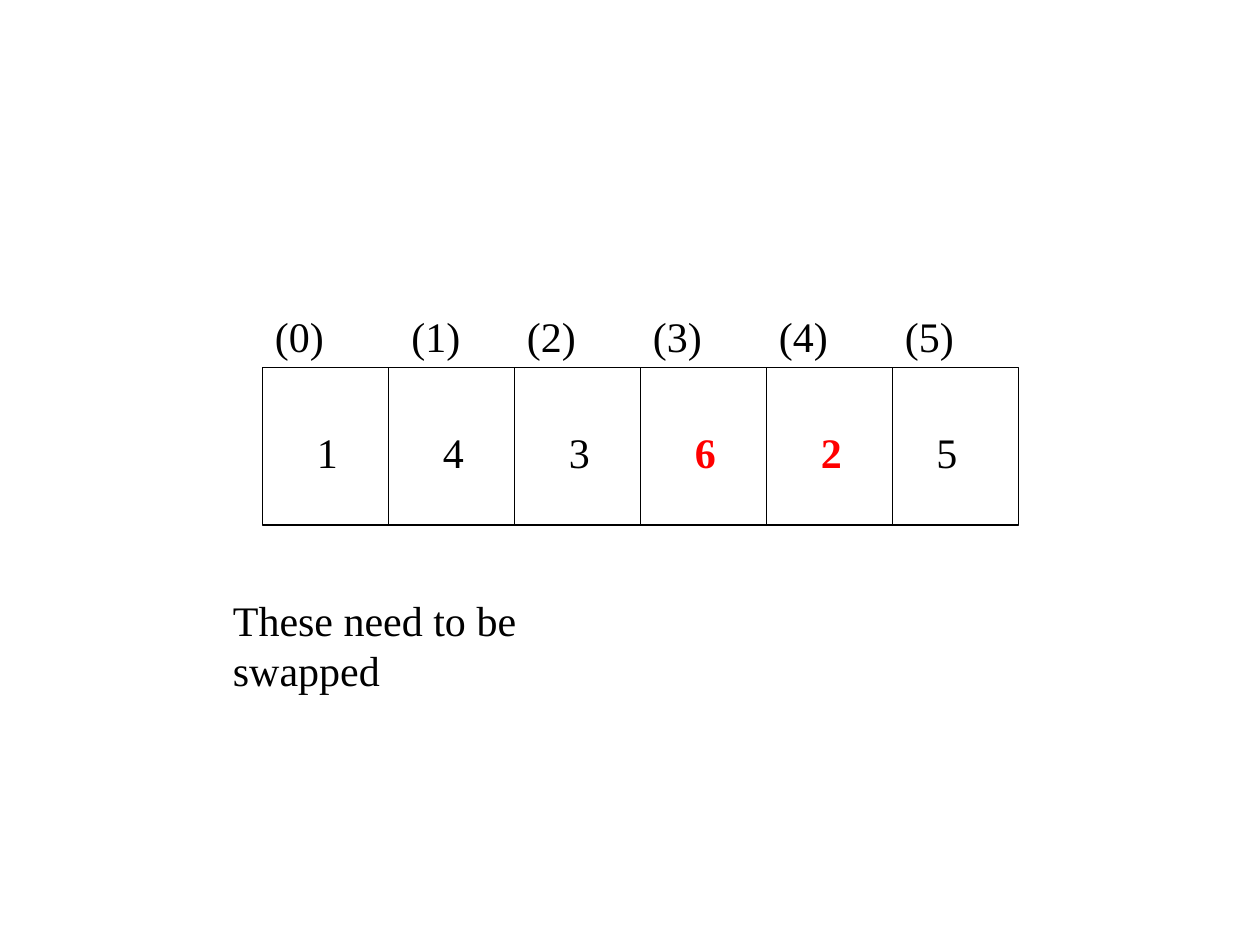
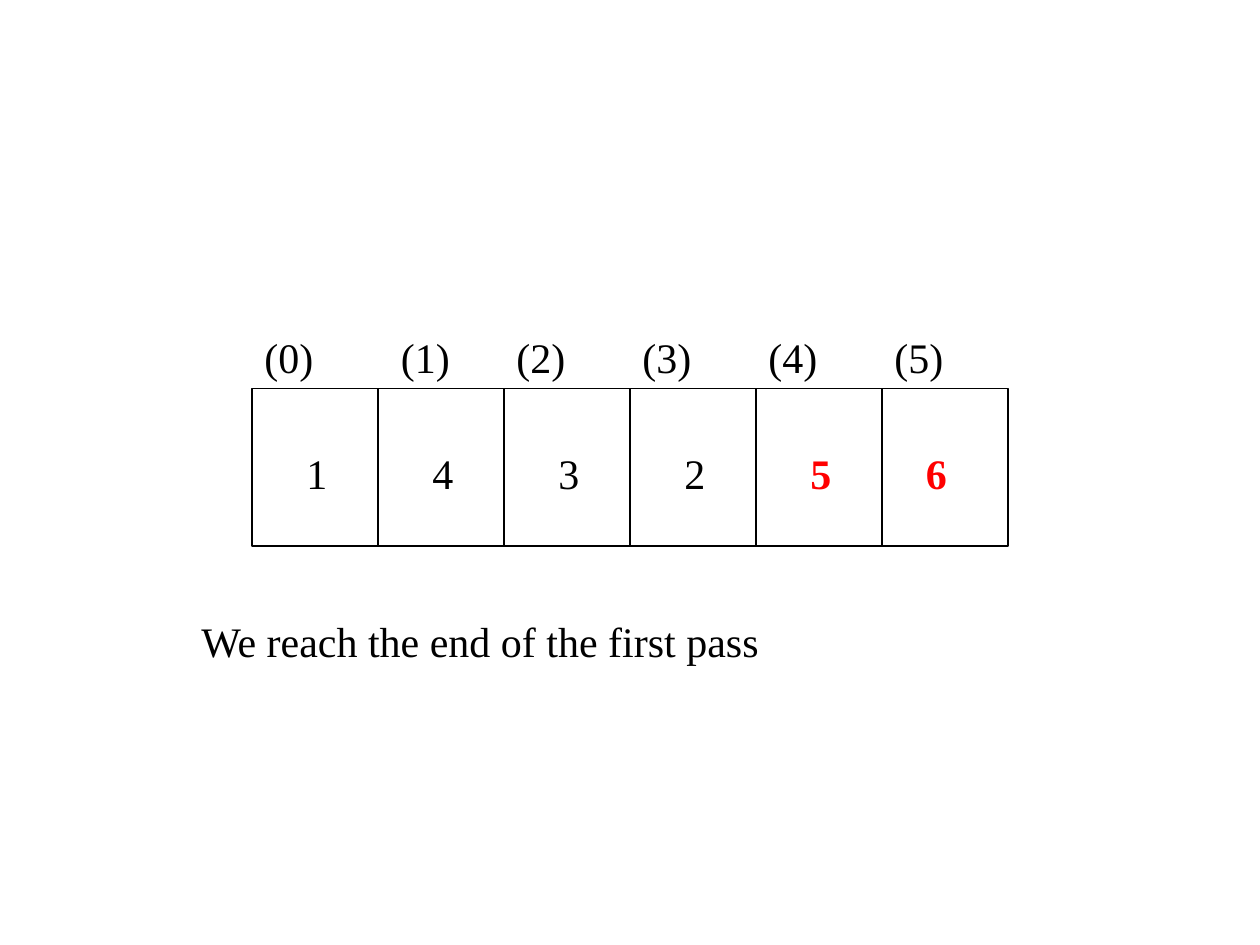
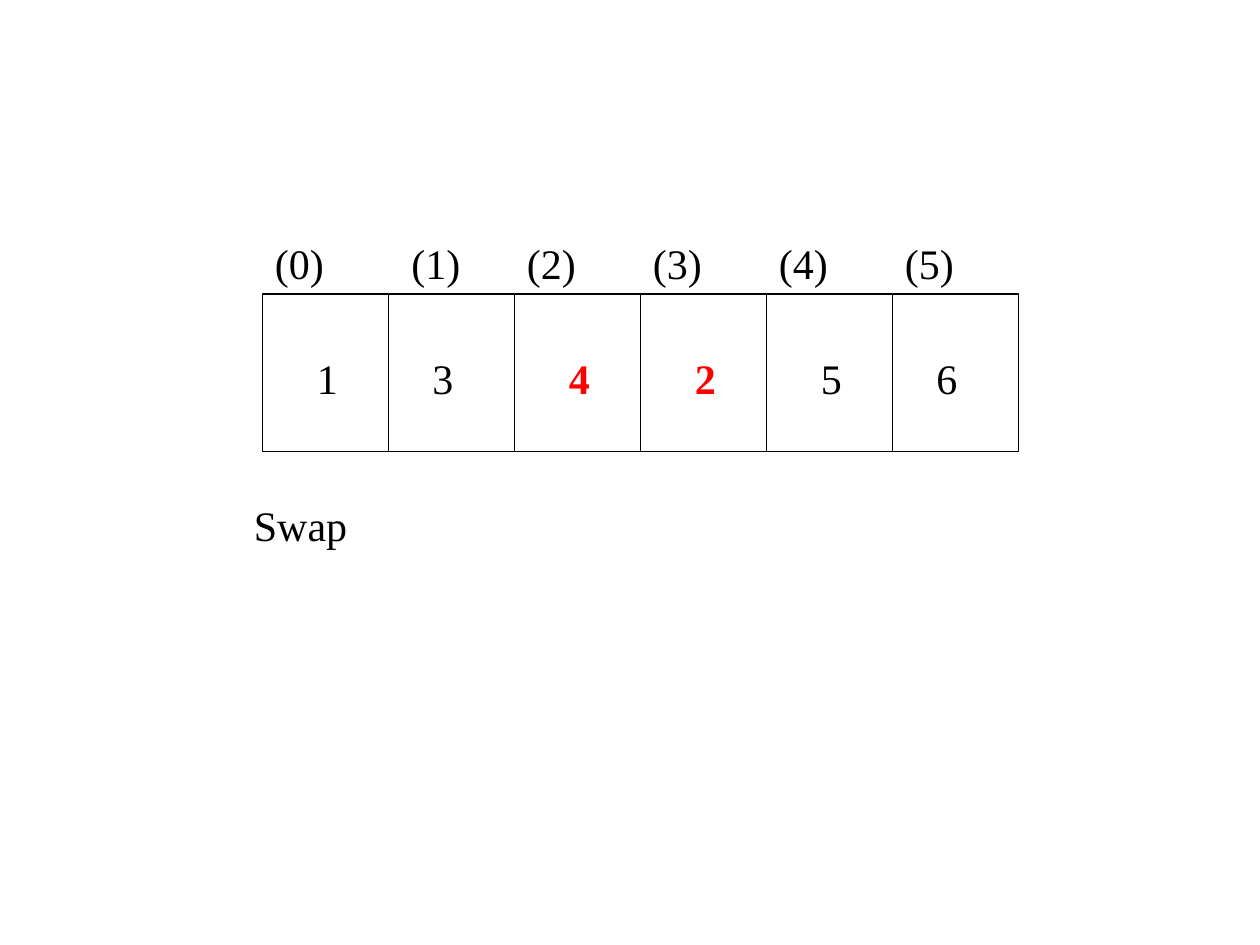
from dataclasses import dataclass
from pptx import Presentation
from pptx.dml.color import RGBColor
from pptx.enum.shapes import MSO_CONNECTOR, MSO_SHAPE
from pptx.enum.text import MSO_AUTO_SIZE
from pptx.oxml.xmlchemy import OxmlElement
from pptx.util import Inches, Pt


@dataclass(frozen=True)
class Theme:
    font: str = "Times New Roman"
    size: Pt = Pt(24)
    line: Pt = Pt(0.75)
    ink: RGBColor = RGBColor(0, 0, 0)
    mark: RGBColor = RGBColor(255, 0, 0)


theme = Theme()
deck = Presentation()
deck.slide_width = Inches(10)
deck.slide_height = Inches(7.5)
unit = deck.slide_width // 120
cell, high, text_high = 12, 15, 6
label_wide = [10, 8, 8, 10, 11, 8]
value_wide = [5, 6, 6, 5, 5, 7]


def write(slide, text, left, top, wide, tall=text_high, color=theme.ink, bold=False):
    box = slide.shapes.add_textbox(left * unit, top * unit, wide * unit, tall * unit)
    frame = box.text_frame
    frame.word_wrap = True
    frame.auto_size = MSO_AUTO_SIZE.SHAPE_TO_FIT_TEXT
    run = frame.paragraphs[0].add_run()
    run.text = text
    run.font.name = theme.font
    run.font.size = theme.size
    run.font.color.rgb = color
    run.font.bold = bold


steps = [
    dict(left=25, top=35, values=[1, 4, 3, 6, 2, 5], marked=[3, 4], near=[5],
         note="These need to be swapped", place=(21, 56, 34, 11)),
    dict(left=24, top=37, values=[1, 4, 3, 2, 5, 6], marked=[4, 5], near=[5],
         note="We reach the end of the first pass", place=(18, 58, 62)),
    dict(left=25, top=28, values=[1, 3, 4, 2, 5, 6], marked=[2, 3], near=[1, 5],
         note="Swap", place=(23, 47, 16)),
]

for step in steps:
    slide = deck.slides.add_slide(deck.slide_layouts[6])
    left, top, values = step["left"], step["top"], step["values"]
    frame = slide.shapes.add_shape(
        MSO_SHAPE.RECTANGLE, left * unit, top * unit,
        len(values) * cell * unit, high * unit)
    frame.shadow.inherit = False
    frame.fill.background()
    frame.line.color.rgb = theme.ink
    frame.line.width = theme.line

    for col in range(1, len(values)):
        x = (left + col * cell) * unit
        wall = slide.shapes.add_connector(
            MSO_CONNECTOR.STRAIGHT, x, top * unit, x, (top + high) * unit)
        wall.line.color.rgb = theme.ink
        wall.line.width = theme.line
        wall._element.spPr.append(OxmlElement("a:effectLst"))

    for col, value in enumerate(values):
        marked = col in step["marked"]
        inset = 3 if col in step["near"] else 4
        write(slide, str(value), left + col * cell + inset, top + 5, value_wide[col],
              color=theme.mark if marked else theme.ink, bold=marked)

    write(slide, step["note"], *step["place"])

    for col, wide in enumerate(label_wide):
        inset = 1 if col == 1 else 0
        write(slide, f"({col})", left + col * cell + inset, top - text_high, wide)

deck.save("out.pptx")
